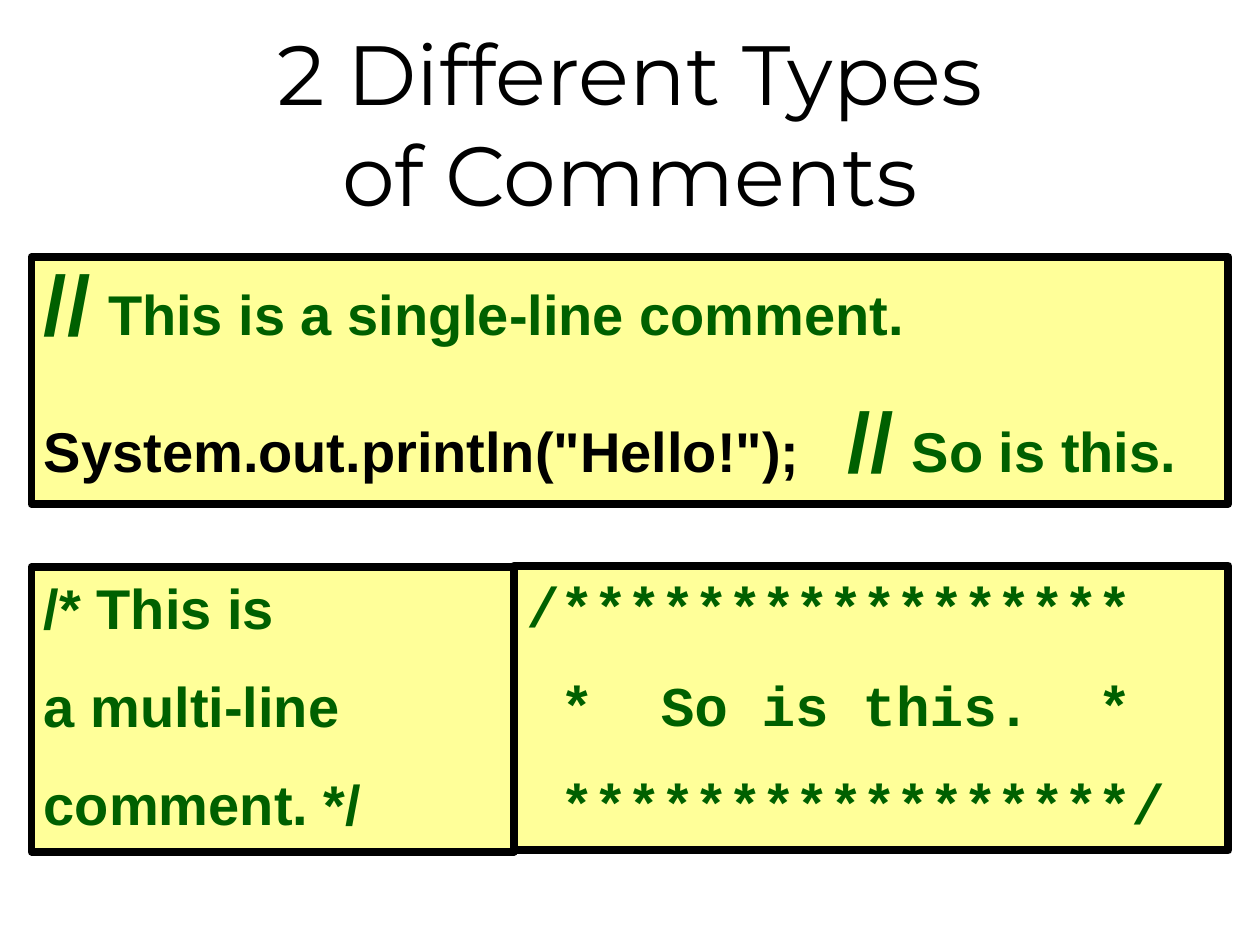
from pptx import Presentation
from pptx.dml.color import RGBColor
from pptx.enum.shapes import MSO_SHAPE
from pptx.enum.text import MSO_ANCHOR, PP_ALIGN
from pptx.util import Inches, Pt

GREEN = "006000"
BLACK = "000000"
YELLOW = "FFFF99"


def color(value):
    return RGBColor.from_string(value)


class CommentSlide:
    def __init__(self, presentation):
        self.slide = presentation.slides.add_slide(presentation.slide_layouts[5])

    def title(self, text, left, top, width, height):
        shape = self.slide.shapes.title
        shape.left, shape.top = Inches(left), Inches(top)
        shape.width, shape.height = Inches(width), Inches(height)
        frame = shape.text_frame
        frame.text = text
        frame.vertical_anchor = MSO_ANCHOR.MIDDLE
        paragraph = frame.paragraphs[0]
        paragraph.alignment = PP_ALIGN.CENTER
        paragraph.font.name = "Montserrat"
        paragraph.font.size = Pt(48)
        paragraph.font.color.rgb = color(BLACK)

    def code_box(self, lines, left, top, width, height, font="Arial",
                 line_spacing=1.0, space_before=17.7):
        shape = self.slide.shapes.add_shape(
            MSO_SHAPE.RECTANGLE, Inches(left), Inches(top), Inches(width), Inches(height))
        shape.shadow.inherit = False
        shape.fill.solid()
        shape.fill.fore_color.rgb = color(YELLOW)
        shape.line.color.rgb = color(BLACK)
        shape.line.width = Pt(4.5)
        frame = shape.text_frame
        frame.word_wrap = True
        frame.vertical_anchor = MSO_ANCHOR.TOP
        for index, line in enumerate(lines):
            paragraph = frame.add_paragraph() if index else frame.paragraphs[0]
            paragraph.alignment = PP_ALIGN.LEFT
            paragraph.line_spacing = line_spacing
            paragraph.space_before = Pt(space_before)
            paragraph.font.name = font
            paragraph.font.bold = True
            for text, size, text_color in line:
                run = paragraph.add_run()
                run.text = text
                run.font.size = Pt(size)
                run.font.color.rgb = color(text_color)


def green_lines(*texts):
    return [[(text, 32, GREEN)] for text in texts]


def slash_comment(text):
    return [("//", 48, GREEN), (" ", 36, GREEN), (text, 32, GREEN)]


def main():
    presentation = Presentation()
    presentation.slide_width = Inches(10)
    presentation.slide_height = Inches(7.5)

    slide = CommentSlide(presentation)
    slide.title("2 Different Types\vof Comments", 0, 0, 10, 1.94)
    slide.code_box(
        [slash_comment("This is a single-line comment."),
         [('System.out.println("Hello!");   ', 32, BLACK)] + slash_comment("So is this.")],
        0.25, 2.04, 9.5, 1.96, line_spacing=0.9, space_before=26.4)
    slide.code_box(
        green_lines("/* This is", "a multi-line", "comment. */"),
        0.25, 4.5, 3.83, 2.26)
    slide.code_box(
        green_lines("/*****************", " *  So is this.  *", " *****************/"),
        4.08, 4.49, 5.67, 2.26, font="Courier New")

    presentation.save("out.pptx")


if __name__ == "__main__":
    main()
